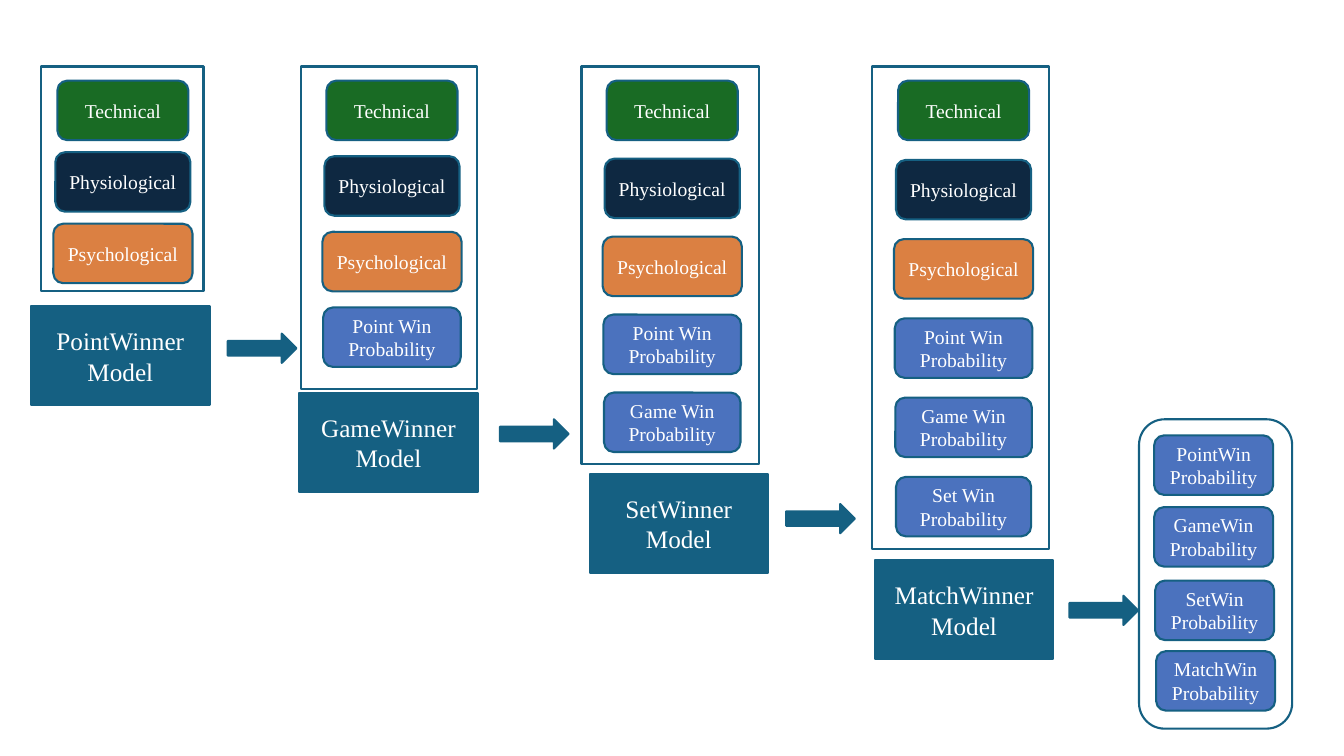
"""Build a slide showing the chain of tennis winner models and their inputs."""
from pptx import Presentation
from pptx.dml.color import RGBColor
from pptx.enum import shapes, text
from pptx.util import Pt

FONT = "Times New Roman"
TEAL, GREEN, NAVY, ORANGE, BLUE = "156082", "196B24", "0E2841", "DB8042", "4B72BE"
WHITE = "FFFFFF"
CARD_TOP, CARD_HEIGHT = 57.6, 42.5
FRAME_TOP = 47.5

INPUTS = [
    ("Technical", GREEN, 93.6),
    ("Physiological", NAVY, 96.5),
    ("Psychological", ORANGE, 99.4),
    ("Point Win\nProbability", BLUE, 98.3),
    ("Game Win\nProbability", BLUE, 97.5),
    ("Set Win\nProbability", BLUE, 96.5),
]

# Model name, number of inputs, card centre, card pitch,
# frame (left, width, height), model box (left, top), arrow (left, top)
STAGES = [
    ("PointWinner", 3, 87.8, 51.1, (29.5, 115.9, 160.6), (22.3, 218.9), (162.7, 238.3)),
    ("GameWinner", 4, 280, 54, (215.3, 125.3, 230.4), (213.8, 280.8), (357.1, 299.5)),
    ("SetWinner", 5, 480.2, 55.7, (415.4, 126.7, 283.7), (421.2, 338.4), (561.6, 360)),
    ("MatchWinner", 6, 688.3, 56.6, (622.8, 126.7, 344.9), (625, 400.3), (763.9, 425.5)),
]

OUTPUTS = [
    ("PointWin", 824.4, 311),
    ("GameWin", 824.4, 362.2),
    ("SetWin", 825.1, 414.7),
    ("MatchWin", 825.8, 465.1),
]


def color(hex_string):
    """Return the colour for a hex string."""
    return RGBColor.from_string(hex_string)


def add_block(slide, kind, left, top, width, height, fill=None):
    """Add an outlined shape, filled only if a colour is given."""
    shape = slide.shapes.add_shape(kind, Pt(left), Pt(top), Pt(width), Pt(height))
    shape.shadow.inherit = False
    shape.line.color.rgb = color(TEAL)
    shape.line.width = Pt(1.5)
    if fill:
        shape.fill.solid()
        shape.fill.fore_color.rgb = color(fill)
    else:
        shape.fill.background()
    return shape


def write_label(shape, label, size):
    """Write centred white text, one paragraph for each line."""
    frame = shape.text_frame
    frame.text = label
    frame.word_wrap = True
    frame.vertical_anchor = text.MSO_ANCHOR.MIDDLE
    for paragraph in frame.paragraphs:
        paragraph.alignment = text.PP_ALIGN.CENTER
        for run in paragraph.runs:
            run.font.name = FONT
            run.font.size = Pt(size)
            run.font.color.rgb = color(WHITE)


def add_card(slide, label, left, top, width, fill):
    """Add a rounded card with a short label."""
    card = add_block(slide, shapes.MSO_SHAPE.ROUNDED_RECTANGLE,
                     left, top, width, CARD_HEIGHT, fill)
    write_label(card, label, 14)


def add_stage(slide, name, count, centre, pitch, frame, model, arrow):
    """Add a framed stack of inputs, its model box and the arrow onward."""
    rectangle = shapes.MSO_SHAPE.RECTANGLE
    left, width, height = frame
    add_block(slide, rectangle, left, FRAME_TOP, width, height)
    for row, (label, fill, card_width) in enumerate(INPUTS[:count]):
        add_card(slide, label, centre - card_width / 2, CARD_TOP + row * pitch,
                 card_width, fill)
    box = add_block(slide, rectangle, *model, 127.4, 70.6, TEAL)
    write_label(box, f"{name}\nModel", 18)
    add_block(slide, shapes.MSO_SHAPE.RIGHT_ARROW, *arrow, 49, 20.9, TEAL)


def add_outputs(slide):
    """Add the rounded frame with the final probabilities."""
    add_block(slide, shapes.MSO_SHAPE.ROUNDED_RECTANGLE, 813.6, 299.5, 109.4, 221)
    for name, left, top in OUTPUTS:
        add_card(slide, f"{name}\nProbability", left, top, 85, BLUE)


def main():
    """Build and save the presentation."""
    presentation = Presentation()
    presentation.slide_width, presentation.slide_height = Pt(960), Pt(540)
    slide = presentation.slides.add_slide(presentation.slide_layouts[6])
    for stage in STAGES:
        add_stage(slide, *stage)
    add_outputs(slide)
    presentation.save("out.pptx")


if __name__ == "__main__":
    main()
